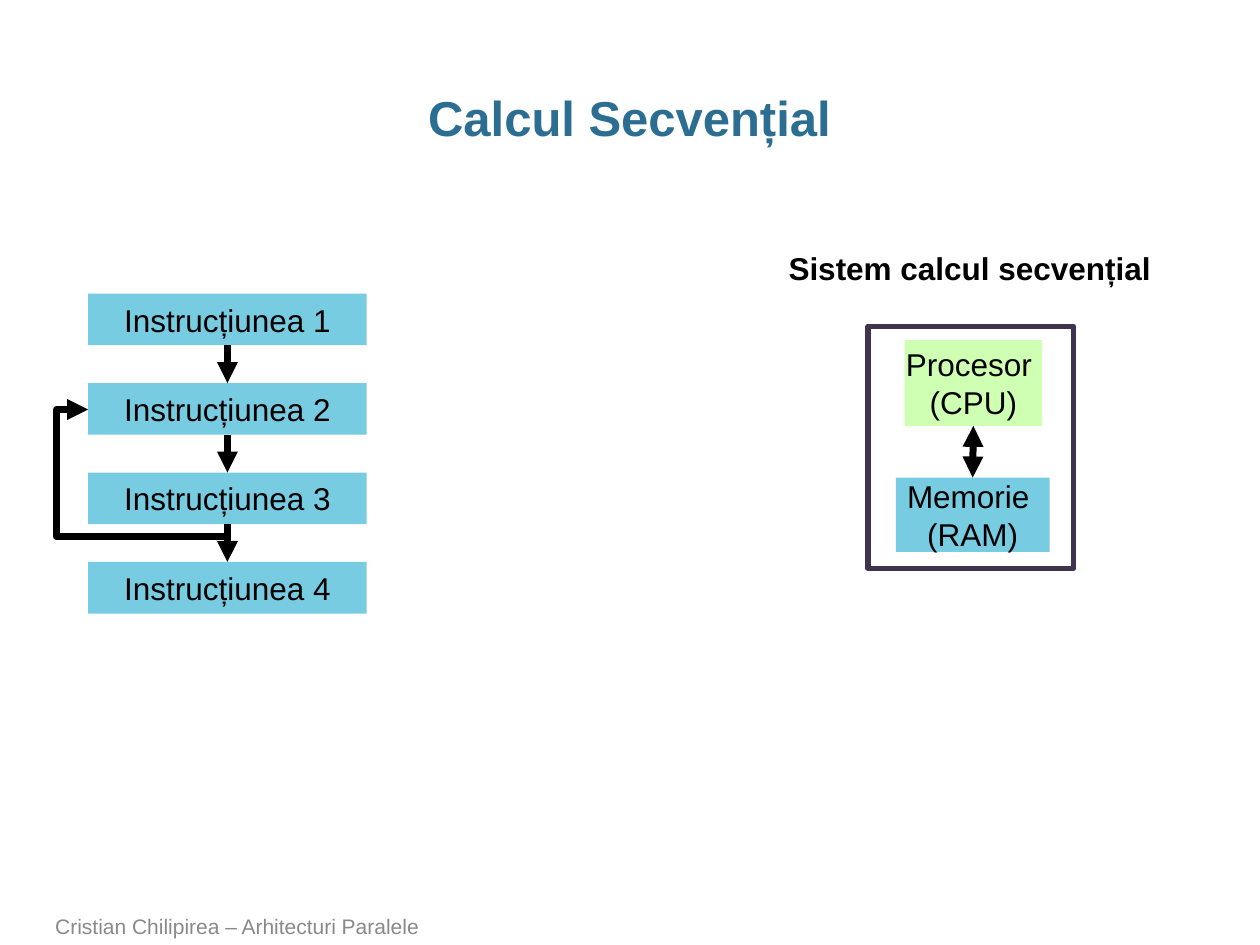
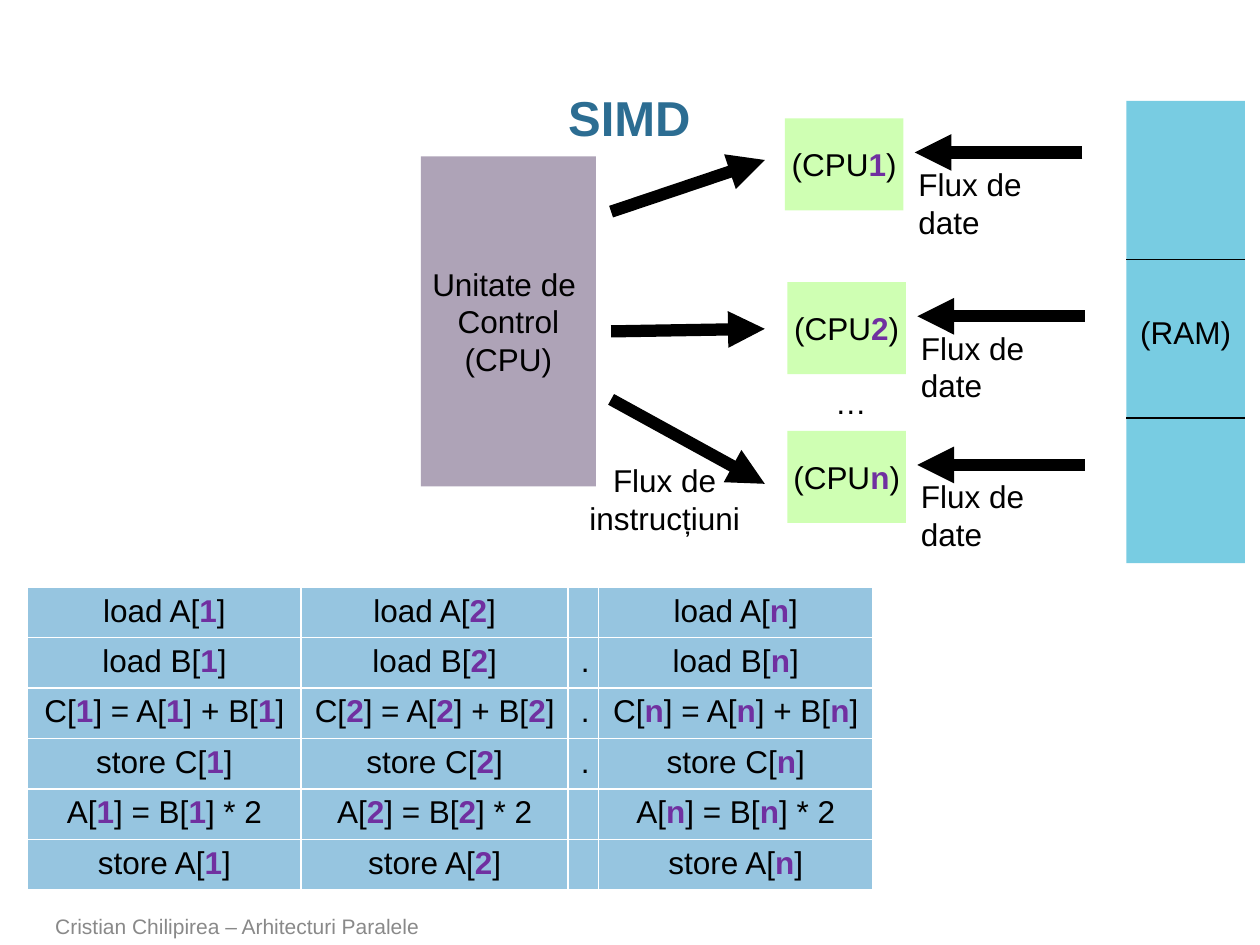
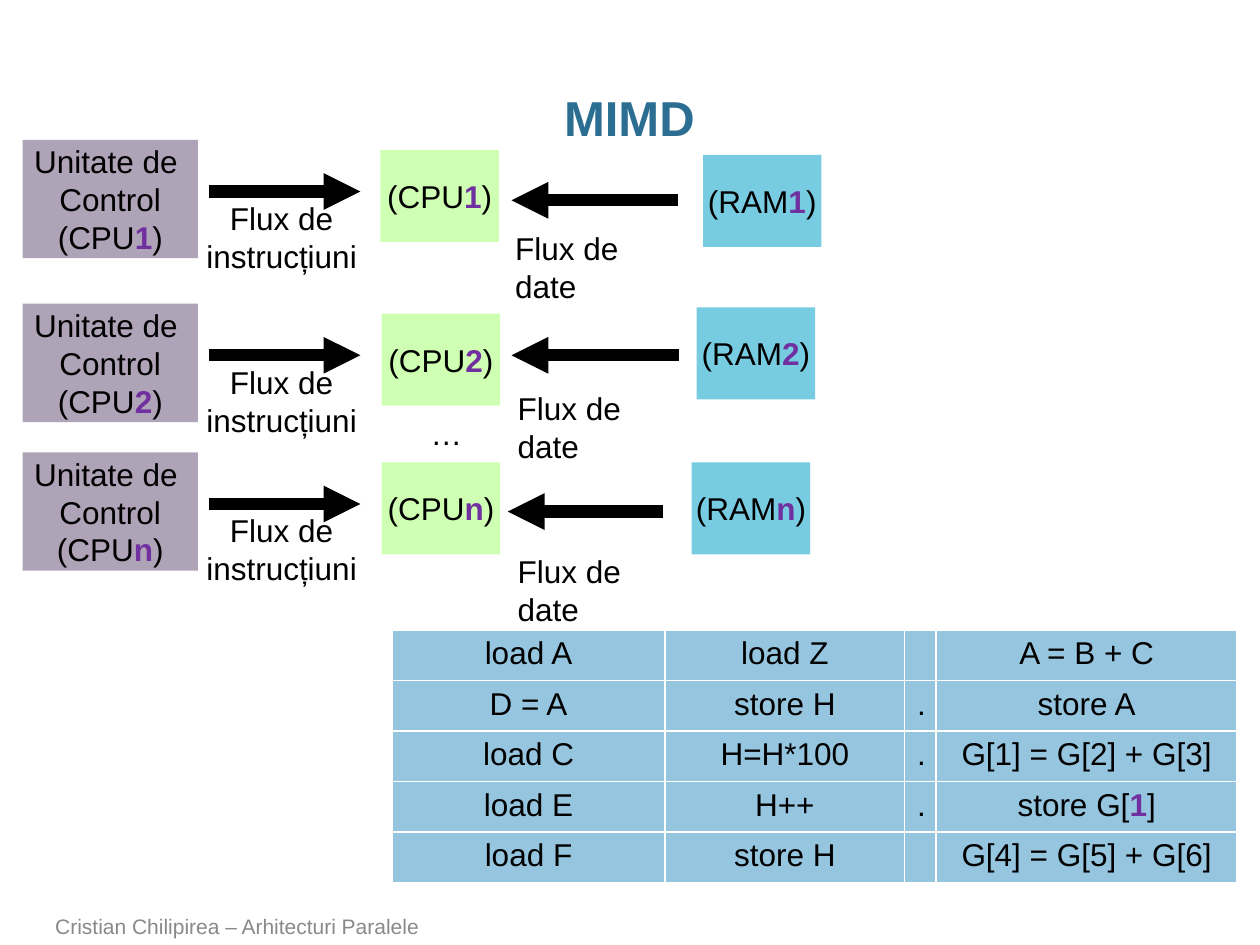
from lxml import etree
from pptx import Presentation
from pptx import util as u
from pptx.dml.color import RGBColor
from pptx.enum import shapes, text
from pptx.oxml.ns import qn

FONT = "Arial"
BLACK, WHITE, GREY = "000000", "FFFFFF", "898989"
TITLE_BLUE, MEMORY_BLUE, CELL_BLUE = "2C6D92", "78CCE2", "96C5E0"
CPU_GREEN, CONTROL_MAUVE, FRAME_PURPLE = "CFFFB3", "AEA3B7", "3F334D"
INDEX_PURPLE = "7030A0"
LEFT, CENTER = text.PP_ALIGN.LEFT, text.PP_ALIGN.CENTER
FOOTER = "Cristian Chilipirea – Arhitecturi Paralele"
INDICES = ["1", "2", "n"]
UNIT_SIZE = (0.94, 0.73)


def color(hex_value):
    return RGBColor.from_string(hex_value)


def inches(values):
    return [u.Inches(value) for value in values]


class Deck:
    """Shared style plus the slide being built."""

    def __init__(self):
        self.prs = Presentation()
        self.prs.slide_width, self.prs.slide_height = inches((10, 7.5))
        self.slide = None

    def new_slide(self, title):
        self.slide = self.prs.slides.add_slide(self.prs.slide_layouts[6])
        heading = self.label((0.34, 0.68, 9.31, 0.5), title, CENTER, wrap=True,
                             size=28, bold=True, hue=TITLE_BLUE)
        heading.margin_left = heading.margin_right = 0
        heading.paragraphs[0].line_spacing = 0.95
        footer = self.label((0.34, 7.22, 7.37, 0.28), FOOTER, wrap=True, size=12, hue=GREY)
        footer.vertical_anchor = text.MSO_ANCHOR.BOTTOM

    def set_text(self, frame, content, align, size=18, bold=False, hue=BLACK):
        """Lines are split at newlines; parts between bars are bold purple indices."""
        for number, line in enumerate(content.split("\n")):
            paragraph = frame.add_paragraph() if number else frame.paragraphs[0]
            paragraph.alignment = align
            for position, part in enumerate(line.split("|")):
                if not part:
                    continue
                is_index = position % 2 == 1
                run = paragraph.add_run()
                run.text = part
                style = {"name": FONT, "size": u.Pt(size), "bold": bold or is_index}
                for key, value in style.items():
                    setattr(run.font, key, value)
                run.font.color.rgb = color(INDEX_PURPLE if is_index else hue)

    def label(self, area, content, align=LEFT, wrap=False, **style):
        frame = self.slide.shapes.add_textbox(*inches(area)).text_frame
        frame.word_wrap = wrap
        self.set_text(frame, content, align, **style)
        return frame

    def block(self, area, content="", fill=None, outline=None):
        shape = self.slide.shapes.add_shape(shapes.MSO_SHAPE.RECTANGLE, *inches(area))
        shape.shadow.inherit = False
        if fill:
            shape.fill.solid()
            shape.fill.fore_color.rgb = color(fill)
        else:
            shape.fill.background()
        if outline:
            shape.line.color.rgb = color(outline)
            shape.line.width = u.Pt(3)
        else:
            shape.line.fill.background()
        if content:
            shape.text_frame.word_wrap = False
            shape.text_frame.vertical_anchor = text.MSO_ANCHOR.MIDDLE
            self.set_text(shape.text_frame, content, CENTER)
        return shape

    def line(self, start, end, width=7, ends=("tailEnd",), kind=shapes.MSO_CONNECTOR.STRAIGHT):
        link = self.slide.shapes.add_connector(kind, *inches(start + end))
        link.line.color.rgb = color(BLACK)
        link.line.width = u.Pt(width)
        properties = link._element.spPr
        for end_name in ends:
            etree.SubElement(properties.find(qn("a:ln")), qn(f"a:{end_name}"), type="triangle")
        etree.SubElement(properties, qn("a:effectLst"))
        return link

    def join_down(self, upper, lower, ends=("tailEnd",)):
        link = self.line((0, 0), (1, 1), width=4, ends=ends)
        link.begin_connect(upper, 2)
        link.end_connect(lower, 0)

    def loop_back(self, area, first_bend, second_bend):
        """Elbow connector with two bends, turned a quarter and mirrored."""
        link = self.line((0, 0), (1, 1), width=4, kind=shapes.MSO_CONNECTOR.ELBOW)
        for key, value in zip(("left", "top", "width", "height"), inches(area)):
            setattr(link, key, value)
        properties = link._element.spPr
        transform = properties.find(qn("a:xfrm"))
        transform.set("rot", str(90 * 60000))
        transform.set("flipH", "1")
        geometry = properties.find(qn("a:prstGeom"))
        geometry.set("prst", "bentConnector4")
        guides = geometry.find(qn("a:avLst"))
        for name, value in (("adj1", first_bend), ("adj2", second_bend)):
            etree.SubElement(guides, qn("a:gd"), name=name, fmla=f"val {value}")

    def table(self, corner, widths, rows, row_height=0.4):
        area = (*corner, sum(widths), row_height * len(rows))
        grid = self.slide.shapes.add_table(len(rows), len(widths), *inches(area)).table
        for column, width in zip(grid.columns, widths):
            column.width = u.Inches(width)
        for row, contents in zip(grid.rows, rows):
            row.height = u.Inches(row_height)
            for cell, content in zip(row.cells, contents):
                self.set_text(cell.text_frame, content, CENTER)
                self.cell_borders(cell)
                cell.fill.solid()
                cell.fill.fore_color.rgb = color(CELL_BLUE)

    def cell_borders(self, cell):
        properties = cell._tc.get_or_add_tcPr()
        for side in ("lnL", "lnR", "lnT", "lnB"):
            border = etree.SubElement(properties, qn(f"a:{side}"), w=str(u.Pt(1)))
            paint = etree.SubElement(border, qn("a:solidFill"))
            etree.SubElement(paint, qn("a:srgbClr"), val=WHITE)

    # Elements of the processor diagrams
    def unit(self, corner, name, fill):
        self.block((*corner, *UNIT_SIZE), f"({name})", fill)

    def data_label(self, corner):
        self.label((*corner, 1.45, 0.4), "Flux de date", wrap=True)

    def instruction_label(self, corner):
        self.label((*corner, 1.41, 0.71), "Flux de\ninstrucțiuni", CENTER)

    def control(self, area, name):
        self.block(area, f"Unitate de \nControl\n({name})", CONTROL_MAUVE)

    def ellipsis(self, corner):
        self.label((*corner, 0.45, 0.4), "…")


def sequential(deck):
    deck.new_slide("Calcul Secvențial")
    # Instruction chain
    steps = [deck.block((0.7, 2.33 + 0.71 * i, 2.21, 0.41), f"Instrucțiunea {i + 1}", MEMORY_BLUE)
             for i in range(4)]
    for upper, lower in zip(steps, steps[1:]):
        deck.join_down(upper, lower)
    deck.loop_back((0.8, 3.15, 0.91, 1.11), -11000, 122600)
    # Sequential system
    memory = deck.block((7.11, 3.79, 1.22, 0.59), "Memorie \n(RAM)", MEMORY_BLUE)
    processor = deck.block((7.18, 2.7, 1.09, 0.68), "Procesor \n(CPU)", CPU_GREEN)
    deck.join_down(processor, memory, ends=("headEnd", "tailEnd"))
    deck.block((6.89, 2.59, 1.63, 1.92), outline=FRAME_PURPLE)
    deck.label((6.16, 1.93, 3.11, 0.4), "Sistem calcul secvențial", bold=True)


def simd(deck):
    deck.new_slide("SIMD")
    # Control unit and shared memory
    deck.instruction_label((4.57, 3.61))
    deck.control((3.34, 1.24, 1.39, 2.62), "CPU")
    deck.block((8.94, 0.8, 0.94, 3.67), "(RAM)", MEMORY_BLUE)
    for divider in (2.06, 3.32):
        deck.line((8.94, divider), (9.88, divider), width=1, ends=())
    # Processors with their data streams
    for index, left, top in zip(INDICES, (6.23, 6.25, 6.25), (0.94, 2.24, 3.42)):
        deck.data_label((left + 0.96, top + 0.32))
        deck.unit((left, top), f"CPU|{index}|", CPU_GREEN)
        deck.line((left + 2.36, top + 0.27), (left + 1.03, top + 0.27))
    deck.ellipsis((6.53, 2.99))
    # Instruction streams
    for start, end in ((1.68, 1.27), (2.63, 2.61), (3.17, 3.84)):
        deck.line((4.85, start), (6.07, end))
    # The same program on every processor
    program = ["load A[#]", "load B[#]", "C[#] = A[#] + B[#]",
               "store C[#]", "A[#] = B[#] * 2", "store A[#]"]
    dots = ["", ".", ".", ".", "", ""]
    rows = []
    for step, dot in zip(program, dots):
        first, second, last = [step.replace("#", f"|{index}|") for index in INDICES]
        rows.append([first, second, dot, last])
    deck.table((0.22, 4.66), [2.17, 2.12, 0.24, 2.18], rows)


def mimd(deck):
    deck.new_slide("MIMD")
    # Each row: index, top of control unit, processor left, memory corner,
    # data arrow (from, to, height), data label corner
    lanes = [
        ("1", 1.11, 3.02, (5.58, 1.23), (5.38, 4.06, 1.59), (3.99, 1.77)),
        ("2", 2.41, 3.03, (5.53, 2.44), (5.39, 4.06, 2.82), (4.01, 3.04)),
        ("n", 3.59, 3.03, (5.49, 3.67), (5.26, 4.03, 4.06), (4.01, 4.33)),
    ]
    for index, top, cpu_left, memory, (start, end, level), data in lanes:
        deck.instruction_label((1.53, top + 0.42))
        deck.data_label(data)
        deck.control((0.18, top, 1.39, 0.94), f"CPU|{index}|")
        deck.unit((cpu_left, top + 0.08), f"CPU|{index}|", CPU_GREEN)
        deck.unit(memory, f"RAM|{index}|", MEMORY_BLUE)
        deck.line((1.66, top + 0.41), (2.86, top + 0.41))
        deck.line((start, level), (end, level))
    deck.ellipsis((3.32, 3.24))
    # A different program on every processor
    deck.table((3.11, 5), [2.17, 1.9, 0.25, 2.39], [
        ["load A", "load Z", "", "A = B + C"],
        ["D = A", "store H", ".", "store A"],
        ["load C", "H=H*100", ".", "G[1] = G[2] + G[3]"],
        ["load E", "H++", ".", "store G[|1|]"],
        ["load F", "store H", "", "G[4] = G[5] + G[6]"],
    ])


def main():
    deck = Deck()
    for build in (sequential, simd, mimd):
        build(deck)
    deck.prs.save("out.pptx")


if __name__ == "__main__":
    main()
